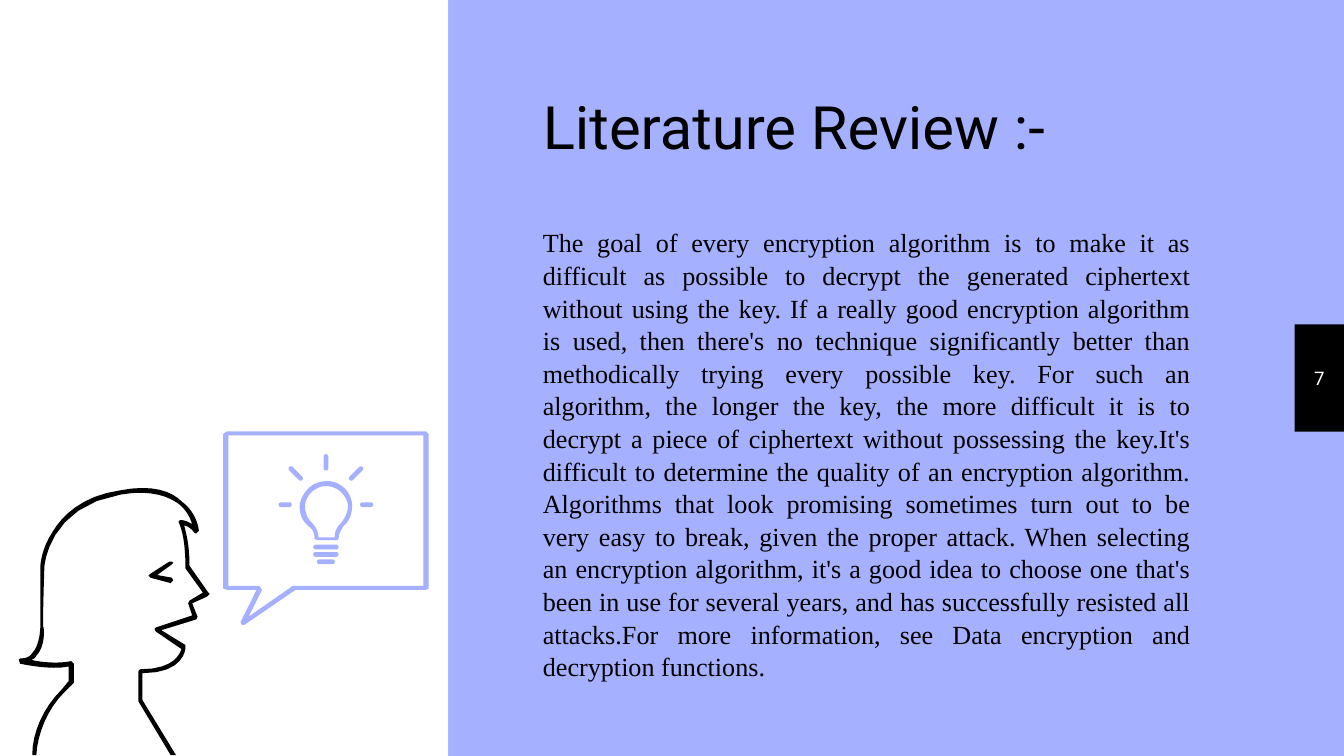
import dataclasses

import pptx
import pptx.dml.color
import pptx.enum.shapes
import pptx.enum.text
import pptx.util

Cm, Pt = pptx.util.Cm, pptx.util.Pt
Align = pptx.enum.text.PP_ALIGN
Anchor = pptx.enum.text.MSO_ANCHOR
Preset = pptx.enum.shapes.MSO_SHAPE


@dataclasses.dataclass(frozen=True)
class Theme:
    lilac: str = "A5B0FE"
    black: str = "000000"
    white: str = "FFFFFF"
    title_size: int = 32
    body_size: int = 14
    number_size: int = 10
    heading_font: str = "Roboto"
    body_font: str = "Times New Roman"
    line_spacing: float = 1.04


def colour(value):
    return pptx.dml.color.RGBColor.from_string(value)


def apply(target, values):
    for name, value in values.items():
        setattr(target, name, value)


def flatten(contour, steps=8):
    """Turn pairs (line ends) and sextuples (Bezier curves) into points."""
    points = [contour[0]]
    for part in contour[1:]:
        if len(part) == 2:
            points.append(part)
            continue
        start = points[-1]
        for step in range(1, steps + 1):
            t = step / steps
            s = 1 - t
            points.append(tuple(
                s**3 * start[i] + 3 * s * s * t * part[i]
                + 3 * s * t * t * part[i + 2] + t**3 * part[i + 4]
                for i in (0, 1)))
    return points


class SlideWriter:
    def __init__(self, deck, theme):
        self.theme = theme
        self.page = deck.slides.add_slide(deck.slide_layouts[6])

    def background(self, fill):
        self.page.background.fill.solid()
        self.page.background.fill.fore_color.rgb = colour(fill)

    def paint(self, shape, fill):
        shape.shadow.inherit = False
        shape.fill.solid()
        shape.fill.fore_color.rgb = colour(fill)
        shape.line.fill.background()

    def block(self, left, top, width, height, fill,
              preset=Preset.RECTANGLE, turn=0):
        shape = self.page.shapes.add_shape(
            preset, Cm(left), Cm(top), Cm(width), Cm(height))
        self.paint(shape, fill)
        shape.rotation = turn
        return shape

    def bar(self, centre_x, centre_y, width, height, turn=0):
        shape = self.block(centre_x - width / 2, centre_y - height / 2,
                           width, height, self.theme.lilac,
                           Preset.ROUNDED_RECTANGLE, turn)
        shape.adjustments[0] = 0.5

    def outline(self, contours, fill):
        """Contours are drawn on a grid of 0.0254 cm."""
        grid = Cm(0.0254)
        builder = None
        for contour in contours:
            points = [(x * grid, y * grid) for x, y in flatten(contour)]
            if builder is None:
                builder = self.page.shapes.build_freeform(*points[0], scale=1.0)
            else:
                builder.move_to(*points[0])
            builder.add_line_segments(points[1:], close=True)
        self.paint(builder.convert_to_shape(), fill)

    def text(self, left, top, width, height, words, size, font, fill,
             align=Align.LEFT, anchor=Anchor.TOP, margin=None):
        box = self.page.shapes.add_textbox(
            Cm(left), Cm(top), Cm(width), Cm(height))
        frame = box.text_frame
        apply(frame, {"word_wrap": True, "vertical_anchor": anchor})
        if margin is not None:
            apply(frame, {f"margin_{side}": Cm(margin)
                          for side in ("left", "right", "top", "bottom")})
        para = frame.paragraphs[0]
        apply(para, {"alignment": align,
                     "line_spacing": self.theme.line_spacing})
        span = para.add_run()
        span.text = words
        apply(span.font, {"name": font, "size": Pt(size)})
        span.font.color.rgb = colour(fill)


BODY = (
    "The goal of every encryption algorithm is to make it as difficult as "
    "possible to decrypt the generated ciphertext without using the key. If a "
    "really good encryption algorithm is used, then there's no technique "
    "significantly better than methodically trying every possible key. For "
    "such an algorithm, the longer the key, the more difficult it is to "
    "decrypt a piece of ciphertext without possessing the key.It's difficult "
    "to determine the quality of an encryption algorithm. Algorithms that look "
    "promising sometimes turn out to be very easy to break, given the proper "
    "attack. When selecting an encryption algorithm, it's a good idea to "
    "choose one that's been in use for several years, and has successfully "
    "resisted all attacks.For more information, see Data encryption and "
    "decryption functions.")

EYE = [[(112, 427), (126, 418), (128, 418), (129, 419), (128, 420), (117, 428),
        (128, 430), (129, 432), (127, 434), (112, 430), (110.5, 428.5)]]

HEAD = [[
    # Mouth, chin, neck and shoulder
    (138, 480), (138, 482), (138, 483, 137, 501, 106, 501), (106, 521),
    (131, 562), (127, 562), (103, 522), (103, 500), (103, 499, 104, 498, 105, 498),
    (130, 498, 134, 486, 135, 483), (116, 470), (115, 468), (116, 467),
    # Inner line of the face and hair
    (143, 458), (140, 449), (141, 447), (151, 441), (138, 423), (138, 422),
    (138, 397, 133, 389, 133, 389), (133, 388), (134, 387),
    (138, 387, 141, 389, 143, 390), (141, 384, 138, 379, 133, 375),
    (126, 370, 113, 364, 90, 368), (36, 377, 33, 421, 33, 422),
    (33, 425, 32, 449, 32, 466), (33, 467, 34, 481, 27, 488),
    (26, 490, 24, 491, 23, 491), (31, 493, 44, 494, 53, 492),
    (55, 494), (55, 508), (54, 509), (48, 515), (35, 528, 28, 546, 27, 562),
    # Outer line of the back and hair
    (24, 562), (24, 545, 32, 527, 46, 513), (51, 507), (51, 496),
    (37, 499, 16, 494, 15, 494), (14, 491), (15, 490),
    (19, 490, 22, 489, 24, 486), (30, 480, 30, 466, 30, 466), (30, 422),
    (30, 420, 31, 408, 39, 396), (46, 384, 61, 369, 89, 365),
    (114, 360, 128, 366, 135, 373), (143, 379, 147, 387, 148, 395),
    (146, 397), (145, 397), (145, 397, 142, 392, 137, 391),
    # Outer line of the forehead, nose and lips
    (138, 395, 141, 404, 141, 421), (155, 441), (156, 442), (154, 444),
    (143, 449), (147, 459), (146, 461), (120, 469)]]

BUBBLE = [
    [(169, 321), (317, 321), (319, 323), (319, 438), (317, 439), (220, 439),
     (182, 465), (180, 465), (179, 463), (191, 439), (169, 439), (166, 438),
     (166, 323)],
    [(170, 436), (193, 436), (195, 439), (185, 459), (218, 436), (315, 436),
     (315, 324), (170, 324)]]

BULB = [
    [(256, 391), (254, 394, 252, 397, 252, 401), (251, 402), (236, 402),
     (234, 401), (234, 397, 233, 394, 230, 392), (225, 388, 223, 383, 223, 377),
     (223, 372, 226, 367, 230, 363), (234, 359, 240, 358, 245, 358),
     (254, 359, 261, 366, 262, 375), (262, 381, 261, 387, 256, 391)],
    [(259, 376), (258, 369, 252, 363, 245, 362), (240, 361, 236, 363, 232, 366),
     (229, 369, 227, 373, 227, 377), (227, 382, 229, 386, 232, 389),
     (235, 392, 237, 396, 237, 400), (249, 400),
     (249, 395, 251, 392, 254, 389), (257, 385, 259, 381, 259, 376)]]


def main():
    theme = Theme()
    deck = pptx.Presentation()
    apply(deck, {"slide_width": Cm(25.4), "slide_height": Cm(14.29)})
    writer = SlideWriter(deck, theme)

    # Background, left panel and page number tab
    writer.background(theme.lilac)
    writer.block(24.47, 6.13, 0.93, 2.03, theme.black)
    writer.block(0, 0, 8.47, 14.29, theme.white)
    writer.text(24.47, 6.13, 0.93, 2.03, "7", theme.number_size,
                theme.heading_font, theme.white, Align.CENTER, Anchor.MIDDLE,
                margin=0.25)

    # Speaker and speech bubble
    writer.outline(EYE, theme.black)
    writer.outline(HEAD, theme.black)
    writer.outline(BUBBLE, theme.lilac)

    # Light bulb: three base bars, five rays, then the glass
    middle, thick = 6.16, 0.09
    for row, width in enumerate((0.48, 0.48, 0.34)):
        writer.bar(middle, 10.34 + 0.14 * row, width, thick)
    writer.bar(middle, 8.74, thick, 0.31)
    for side in (-1, 1):
        writer.bar(middle + side * 0.77, 9.54, 0.25, thick)
        writer.bar(middle + side * 0.57, 8.95, thick, 0.35, side * 45)
    writer.outline(BULB, theme.lilac)

    # Body and title
    writer.text(10.01, 4.14, 12.75, 8.64, BODY, theme.body_size,
                theme.body_font, theme.black, Align.JUSTIFY)
    writer.text(10.01, 1.52, 11.68, 1.63, "Literature Review :-",
                theme.title_size, theme.heading_font, theme.black)

    deck.save("out.pptx")


if __name__ == "__main__":
    main()
